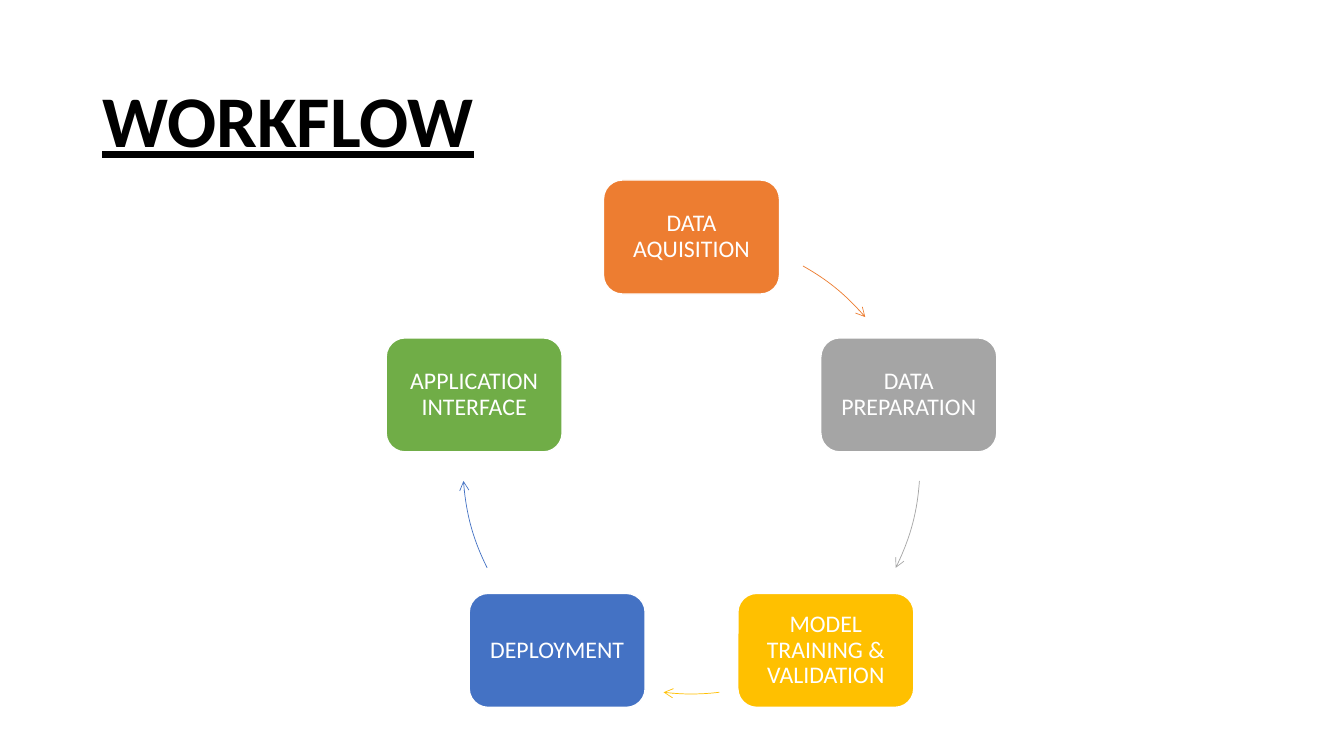
from math import cos, radians, sin

from lxml import etree
from pptx import Presentation
from pptx.dml.color import RGBColor
from pptx.enum.shapes import MSO_SHAPE as SHAPE
from pptx.enum.text import MSO_ANCHOR as ANCHOR, MSO_AUTO_SIZE as AUTOSIZE, PP_ALIGN as ALIGN
from pptx.oxml.ns import qn
from pptx.util import Pt

PX = 914400 / 100.8
BLACK = RGBColor(0x00, 0x00, 0x00)
WHITE = RGBColor(0xFF, 0xFF, 0xFF)
ORANGE = RGBColor(0xED, 0x7D, 0x31)
GREY = RGBColor(0xA5, 0xA5, 0xA5)
GOLD = RGBColor(0xFF, 0xC0, 0x00)
BLUE = RGBColor(0x44, 0x72, 0xC4)
GREEN = RGBColor(0x70, 0xAD, 0x47)

# Label, colour, and the start and end of the arrow to the next step,
# in degrees clockwise from the top of the ring.
STEPS = [
    ("DATA AQUISITION", ORANGE, (29.2, 49.5)),
    ("DATA PREPARATION", GREY, (93.9, 116.6)),
    ("MODEL TRAINING & VALIDATION", GOLD, (173, 187)),
    ("DEPLOYMENT", BLUE, (243.4, 266.1)),
    ("APPLICATION INTERFACE", GREEN, None),
]
STEP_W, STEP_H, STEP_INSET = 176, 114, 12


def px(*lengths):
    return [round(n * PX) for n in lengths]


def set_attrs(obj, values):
    for name, value in values.items():
        setattr(obj, name, value)


def write(tf, text, align, color, font):
    set_attrs(tf, {"word_wrap": True, "auto_size": AUTOSIZE.NONE,
                   "vertical_anchor": ANCHOR.MIDDLE})
    p = tf.paragraphs[0]
    set_attrs(p, {"alignment": align, "line_spacing": 0.9})
    r = p.add_run()
    r.text = text
    set_attrs(r.font, {"name": "Calibri", **font})
    r.font.color.rgb = color


def add_title(s, text, box):
    title = s.shapes.title
    set_attrs(title, dict(zip(("left", "top", "width", "height"), px(*box))))
    write(title.text_frame, text, ALIGN.LEFT, BLACK,
          {"size": Pt(52), "bold": True, "underline": True})


def add_step(s, text, color, cx, cy):
    sp = s.shapes.add_shape(SHAPE.ROUNDED_RECTANGLE,
                            *px(cx - STEP_W / 2, cy - STEP_H / 2, STEP_W, STEP_H))
    sp.shadow.inherit = False
    sp.fill.solid()
    sp.fill.fore_color.rgb = color
    sp.line.color.rgb = WHITE
    sp.line.width = Pt(1)
    tf = sp.text_frame
    inset, = px(STEP_INSET)
    set_attrs(tf, {f"margin_{side}": inset for side in ("left", "top", "right", "bottom")})
    write(tf, text, ALIGN.CENTER, WHITE, {"size": Pt(17)})


def add_arc_arrow(s, color, ring, angles):
    sp = s.shapes.add_shape(SHAPE.ARC, *px(*ring))
    sp.shadow.inherit = False
    sp.fill.background()
    for i, angle in enumerate(angles):
        # Arc angles run from the right, in 1/60000 degree; adjustments are per 100000.
        sp.adjustments[i] = (angle - 90) % 360 * 0.6
    sp.line.color.rgb = color
    sp.line.width = Pt(0.5)
    etree.SubElement(sp.line._get_or_add_ln(), qn("a:tailEnd"), type="arrow")


def add_cycle(s, steps, ring):
    """Spread the steps evenly round the ring, clockwise from the top."""
    left, top, size, _ = ring
    radius = size / 2
    for i, (text, color, angles) in enumerate(steps):
        a = radians(360 / len(steps) * i)
        add_step(s, text, color, left + radius * (1 + sin(a)), top + radius * (1 - cos(a)))
        if angles:
            add_arc_arrow(s, color, ring, angles)


def main():
    prs = Presentation()
    prs.slide_width, prs.slide_height = px(1344, 756)
    s = prs.slides.add_slide(prs.slide_layouts[5])
    add_title(s, "WORKFLOW", (92, 61, 1159, 125))
    add_cycle(s, STEPS, (463, 237, 457, 457))
    prs.save("out.pptx")


if __name__ == "__main__":
    main()
